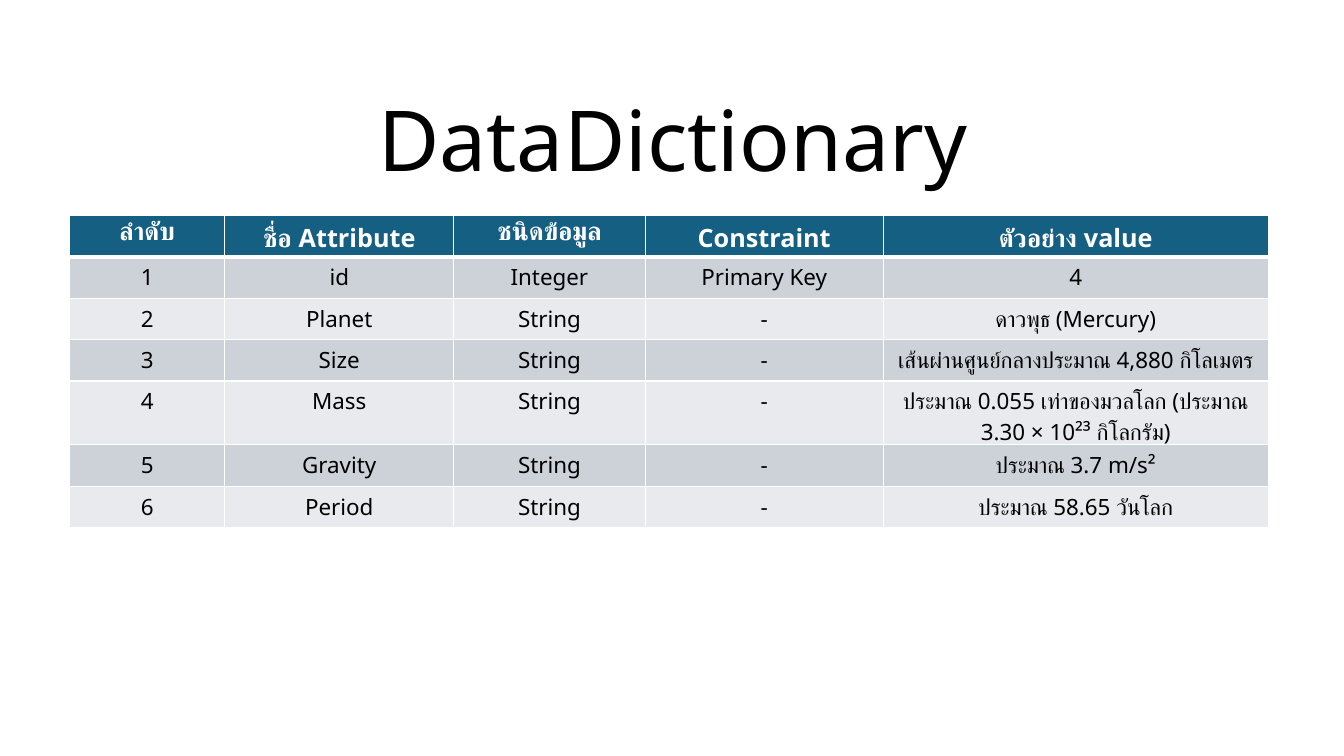
from lxml import etree
from pptx import Presentation
from pptx.dml.color import RGBColor
from pptx.enum.text import MSO_ANCHOR, PP_ALIGN
from pptx.oxml.ns import qn
from pptx.util import Pt

PX = 9144
FONT = "Noto Sans"
CENTER = PP_ALIGN.CENTER
BOTTOM = MSO_ANCHOR.BOTTOM
BLACK = RGBColor(0x00, 0x00, 0x00)
WHITE = RGBColor(0xFF, 0xFF, 0xFF)
TEAL = RGBColor(0x15, 0x60, 0x82)
BAND_DARK = RGBColor(0xCC, 0xD2, 0xD8)
BAND_LIGHT = RGBColor(0xE8, 0xEA, 0xED)

COLUMN_WIDTHS = [154, 227, 190, 236, 382]
ROW_HEIGHT = 41
ENTRIES = [
    ("ลำดับ", "ชื่อ Attribute", "ชนิดข้อมูล", "Constraint", "ตัวอย่าง value"),
    ("1", "id", "Integer", "Primary Key", "4"),
    ("2", "Planet", "String", "-", "ดาวพุธ (Mercury)"),
    ("3", "Size", "String", "-", "เส้นผ่านศูนย์กลางประมาณ 4,880 กิโลเมตร"),
    ("4", "Mass", "String", "-", "ประมาณ 0.055 เท่าของมวลโลก (ประมาณ 3.30 × 10²³ กิโลกรัม)"),
    ("5", "Gravity", "String", "-", "ประมาณ 3.7 m/s²"),
    ("6", "Period", "String", "-", "ประมาณ 58.65 วันโลก"),
]


def write(paragraph, text, size, color, bold):
    paragraph.alignment = CENTER
    run = paragraph.add_run()
    run.text = text
    for key, value in {"name": FONT, "size": Pt(size), "bold": bold}.items():
        setattr(run.font, key, value)
    run.font.color.rgb = color


def add_border(cell, side, width):
    line = etree.SubElement(cell._tc.get_or_add_tcPr(), qn(f"a:{side}"), w=str(Pt(width)))
    fill = etree.SubElement(line, qn("a:solidFill"))
    etree.SubElement(fill, qn("a:srgbClr"), val=str(WHITE))


deck = Presentation()
deck.slide_width = 1333 * PX
deck.slide_height = 750 * PX
slide = deck.slides.add_slide(deck.slide_layouts[6])

title = slide.shapes.add_textbox(359 * PX, 52 * PX, 616 * PX, 141 * PX).text_frame
title.word_wrap = True
title.vertical_anchor = BOTTOM
title.paragraphs[0].line_spacing = 0.9
write(title.paragraphs[0], "DataDictionary", 60, BLACK, False)

dictionary = slide.shapes.add_table(
    len(ENTRIES), len(COLUMN_WIDTHS), 69 * PX, 214 * PX,
    sum(COLUMN_WIDTHS) * PX, len(ENTRIES) * ROW_HEIGHT * PX,
).table
for column, width in zip(dictionary.columns, COLUMN_WIDTHS):
    column.width = width * PX

for r, entry in enumerate(ENTRIES):
    dictionary.rows[r].height = ROW_HEIGHT * PX
    header = r == 0
    band = TEAL if header else BAND_DARK if r % 2 else BAND_LIGHT
    size, color = (18, WHITE) if header else (16, BLACK)
    for c, text in enumerate(entry):
        cell = dictionary.cell(r, c)
        for side in ("lnL", "lnR", "lnT", "lnB"):
            heavy = (side == "lnB" and r == 0) or (side == "lnT" and r == 1)
            add_border(cell, side, 3 if heavy else 1)
        cell.fill.solid()
        cell.fill.fore_color.rgb = band
        write(cell.text_frame.paragraphs[0], text, size, color, header)

deck.save("out.pptx")
